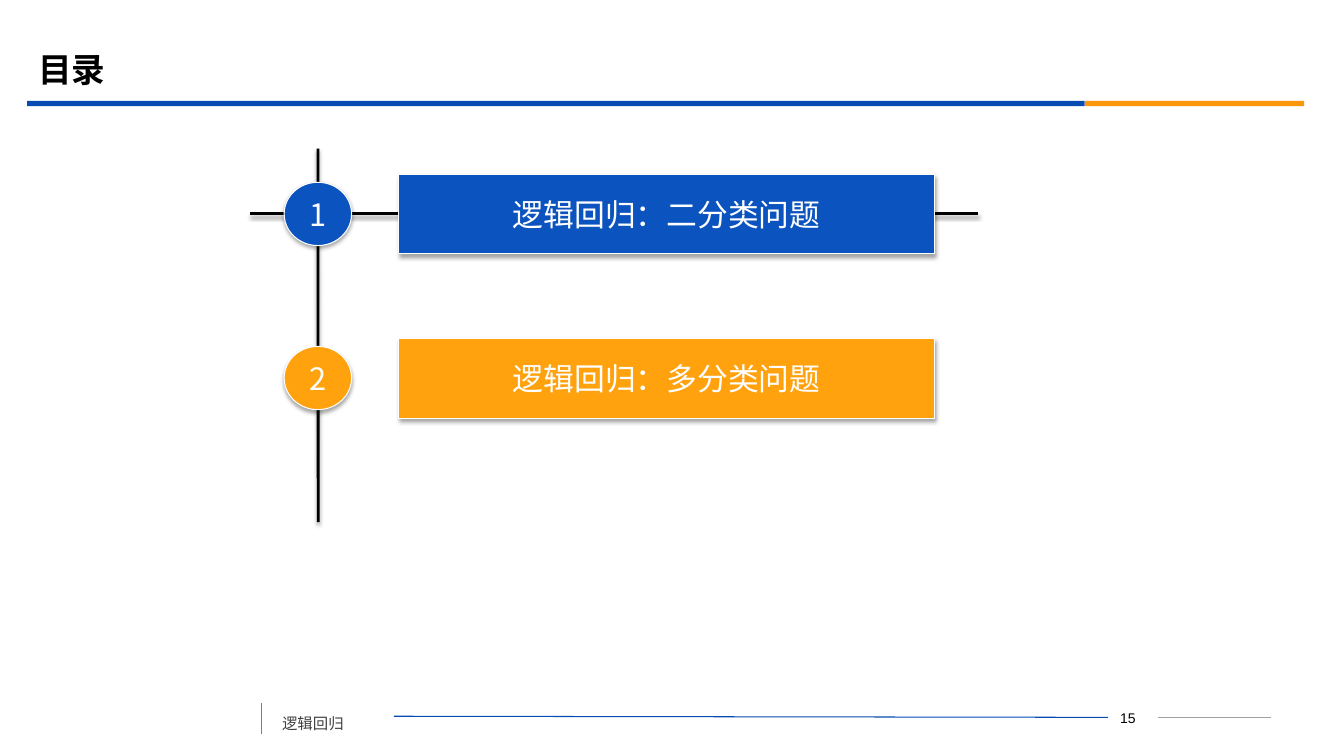
from lxml import etree
from pptx import Presentation
from pptx.dml.color import RGBColor
from pptx.enum.shapes import MSO_CONNECTOR, MSO_SHAPE
from pptx.enum.text import MSO_ANCHOR, PP_ALIGN
from pptx.oxml.ns import qn
from pptx.util import Pt

STRAIGHT = MSO_CONNECTOR.STRAIGHT
RECTANGLE = MSO_SHAPE.RECTANGLE
OVAL = MSO_SHAPE.OVAL
BUTTON = MSO_SHAPE.ACTION_BUTTON_CUSTOM
LEFT = PP_ALIGN.LEFT
CENTER = PP_ALIGN.CENTER
MIDDLE = MSO_ANCHOR.MIDDLE
TOP = MSO_ANCHOR.TOP

CJK = "Noto Sans CJK SC"
COLORS = {
    "blue": "0B53BE",
    "orange": "FFA20D",
    "rule_blue": "064BB2",
    "rule_orange": "FB9708",
    "black": "000000",
    "white": "FFFFFF",
    "dark_gray": "404040",
    "gray": "808080",
    "light_gray": "A0A0A0",
}
TOPICS = [("逻辑回归：二分类问题", "blue"), ("逻辑回归：多分类问题", "orange")]
ROW_PITCH = 117.2


def rgb(color):
    return RGBColor.from_string(COLORS[color])


def set_shadow(item, opacity=0, distance=0):
    properties = item._element.spPr
    for existing in properties.findall(qn("a:effectLst")):
        properties.remove(existing)
    effects = etree.SubElement(properties, qn("a:effectLst"))
    if opacity:
        shadow = etree.SubElement(
            effects, qn("a:outerShdw"), blurRad=str(Pt(3.1)),
            dist=str(Pt(distance)), dir="5400000", rotWithShape="0")
        tint = etree.SubElement(shadow, qn("a:srgbClr"), val=COLORS["black"])
        etree.SubElement(tint, qn("a:alpha"), val=str(opacity * 1000))


def add_line(slide, start, end, color, width, shadowed=False):
    line = slide.shapes.add_connector(STRAIGHT, *map(Pt, start + end))
    line.line.color.rgb = rgb(color)
    line.line.width = Pt(width)
    set_shadow(line, 38 if shadowed else 0, 1.6)


def write(frame, text, size, color, align=LEFT, anchor=MIDDLE, font=CJK, bold=False):
    frame.text = text
    frame.vertical_anchor = anchor
    paragraph = frame.paragraphs[0]
    paragraph.alignment = align
    run = paragraph.runs[0]
    run.font.size = Pt(size)
    run.font.bold = bold
    run.font.name = font
    run.font.color.rgb = rgb(color)
    etree.SubElement(run.font._element, qn("a:ea"), typeface=CJK)
    return paragraph


def add_label(slide, bounds, text, size, color, **style):
    label = slide.shapes.add_textbox(*map(Pt, bounds))
    label.text_frame.word_wrap = True
    return write(label.text_frame, text, size, color, **style)


def add_bar(slide, bounds, color):
    bar = slide.shapes.add_shape(RECTANGLE, *map(Pt, bounds))
    bar.shadow.inherit = False
    bar.fill.solid()
    bar.fill.fore_color.rgb = rgb(color)
    bar.line.fill.background()


def add_badge(slide, outline, bounds, text, color):
    badge = slide.shapes.add_shape(outline, *map(Pt, bounds))
    badge.fill.solid()
    badge.fill.fore_color.rgb = rgb(color)
    badge.line.color.rgb = rgb("white")
    badge.line.width = Pt(0.75)
    set_shadow(badge, 35, 1.8)
    badge.text_frame.word_wrap = False
    write(badge.text_frame, text, 22, "white", align=CENTER)


def add_header(slide):
    add_label(slide, (20.2, 28.1, 864, 41.8), "目录", 24, "black",
              font="Montserrat", bold=True)
    add_bar(slide, (19.4, 72, 755.5, 3.8), "rule_blue")
    add_bar(slide, (774.9, 72, 156.6, 3.8), "rule_orange")


def add_footer(slide):
    add_line(slide, (186.8, 502.2), (186.8, 524.2), "gray", 0.75)
    section = add_label(slide, (194.4, 499.7, 87.1, 27.4), "逻辑回归", 11,
                        "dark_gray", anchor=TOP)
    section.line_spacing = 1.5
    section.space_before = Pt(6)
    add_line(slide, (281.3, 511.6), (791.3, 512.4), "rule_blue", 0.75)
    add_label(slide, (783.4, 503.6, 44.6, 18), "15", 10, "black",
              align=CENTER, font="Arial")
    add_line(slide, (827.3, 512.4), (907.9, 512.4), "light_gray", 0.75)


def add_agenda(slide):
    add_line(slide, (227.1, 106.2), (227.3, 373), "black", 2, shadowed=True)
    add_line(slide, (178.6, 152.6), (698.4, 152.6), "black", 2, shadowed=True)
    for row, (topic, color) in enumerate(TOPICS):
        offset = row * ROW_PITCH
        add_badge(slide, BUTTON, (285, 124.8 + offset, 382.4, 56.6), topic, color)
        add_badge(slide, OVAL, (203, 130.2 + offset, 48.2, 45.2), str(row + 1), color)


def main():
    deck = Presentation()
    deck.slide_width = Pt(960)
    deck.slide_height = Pt(540)
    slide = deck.slides.add_slide(deck.slide_layouts[6])
    add_header(slide)
    add_footer(slide)
    add_agenda(slide)
    deck.save("out.pptx")


if __name__ == "__main__":
    main()
